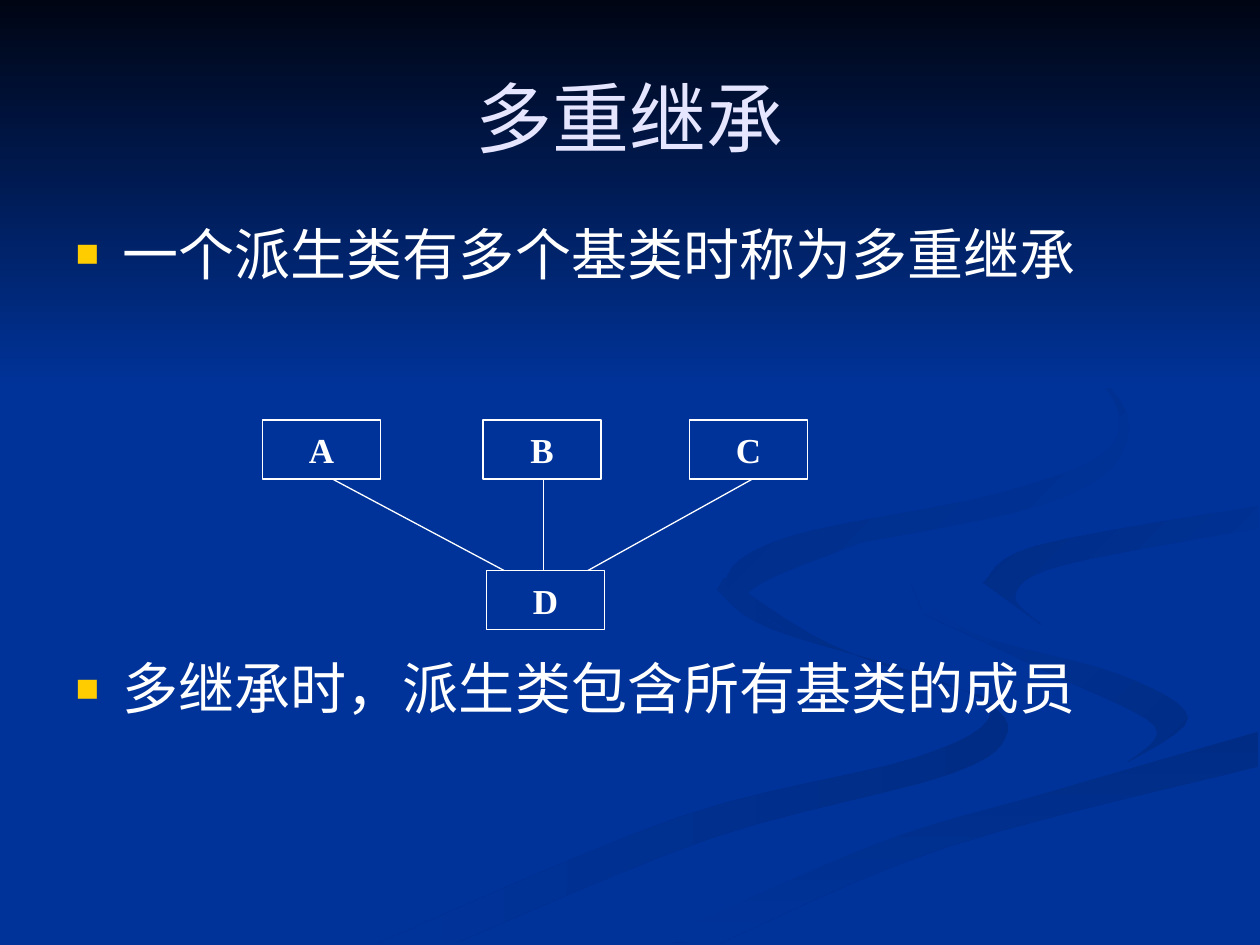
from dataclasses import dataclass
from lxml.etree import SubElement
from pptx import Presentation
from pptx.dml.color import RGBColor as Rgb
from pptx.enum.shapes import MSO_CONNECTOR as Link, MSO_SHAPE as Shape
from pptx.enum.text import MSO_ANCHOR as Anchor, MSO_AUTO_SIZE as Fit, PP_ALIGN as Align
from pptx.oxml.ns import qn
from pptx.util import Pt


@dataclass(frozen=True)
class Theme:
    font: str = "Times New Roman"
    back: str = "003399"
    night: str = "000514"
    shade: str = "002C85"
    title: str = "E5E5FF"
    text: str = "FFFFFF"
    mark: str = "FFCC00"
    head: int = 44
    body: int = 32
    label: int = 20


THEME = Theme()

# Edges shared by neighbouring ribbons.
CREST = [(521, 334), (557, 362), (639, 385), (679, 410), (644, 436)]
SHORE = [(374, 538), (501, 482), (598, 453), (719, 418)]
MOUTH = [(562, 333), (592, 312), (719, 289)]

# From back to front: first colour, last colour, clockwise angle, smooth edges.
RIBBONS = [
    (THEME.shade, THEME.back, 180, [
        [(562, 398), (476, 369), (414, 330)],
        [(410, 337), (440, 359), (534, 388), (566, 408), (523, 433), (388, 467), (216, 539)],
        [(260, 539), (406, 479), (544, 442), (576, 418), (562, 398)]]),
    (THEME.shade, THEME.back, 225, [
        CREST, [(644, 436), (660, 415), (603, 386), (528, 351)]]),
    (THEME.shade, THEME.back, 90, [
        SHORE, [(719, 438), (541, 484), (411, 539)]]),
    (THEME.back, None, 0, [
        CREST + [(477, 481), (343, 539)], SHORE,
        [(719, 387), (624, 366)] + MOUTH, [(719, 279), (582, 300), (521, 334)]]),
    (THEME.back, THEME.shade, 225, [
        MOUTH, [(719, 302), (607, 323), (580, 340), (595, 357)]]),
    (THEME.back, THEME.shade, 225, [
        [(492, 310), (594, 289), (640, 261), (634, 221), (549, 168)],
        [(549, 168), (626, 215), (635, 255), (570, 282), (450, 307), (415, 333), (448, 360)],
        [(448, 360), (428, 338), (492, 310)]]),
]

BOX_W, BOX_H = 67.5, 33.75
BASE_Y, CHILD_Y = 240, 326
BASES = [("A", 150), ("B", 276), ("C", 394)]
CHILD = ("D", 278)
LINKS = [(190, 288), (310.5, 310.5), (430, 336)]


def smooth(edge, steps=6):
    """Points of a Catmull-Rom curve through the dots of an edge."""
    dots = [edge[0], *edge, edge[-1]]
    curve = [edge[0]]
    for quad in zip(dots, dots[1:], dots[2:], dots[3:]):
        for step in range(1, steps + 1):
            t = step / steps
            curve.append(tuple(
                b + t * (c - a + t * (2*a - 5*b + 4*c - d + t * (3*b - a - 3*c + d))) / 2
                for a, b, c, d in zip(*quad)))
    return curve


def paint(shape, first, last=None, angle=0):
    """Fill with one colour, or with a gradient at a clockwise angle."""
    shape.shadow.inherit = False
    shape.line.fill.background()
    if last is None:
        shape.fill.solid()
        shape.fill.fore_color.rgb = Rgb.from_string(first)
        return
    shape.fill.gradient()
    shape.fill.gradient_angle = 360 - angle
    for stop, color in zip(shape.fill.gradient_stops, (first, last)):
        stop.color.rgb = Rgb.from_string(color)


def add_ribbon(slide, first, last, angle, edges):
    dots = [(Pt(x), Pt(y)) for edge in edges for x, y in smooth(edge)]
    pen = slide.shapes.build_freeform(*dots[0])
    pen.add_line_segments(dots[1:], close=True)
    paint(pen.convert_to_shape(), first, last, angle)


def add_band(slide):
    band = slide.shapes.add_shape(Shape.RECTANGLE, 0, 0, Pt(720), Pt(222))
    paint(band, THEME.night, THEME.back, 90)


def write(para, text, *, size, color=THEME.text, bold=False, align=Align.LEFT,
          before=0, line=1.0):
    para.alignment = align
    para.space_before = Pt(before)
    para.line_spacing = line
    run = para.add_run()
    run.text = text
    font = run.font
    font.name, font.size, font.bold = THEME.font, Pt(size), bold
    font.color.rgb = Rgb.from_string(color)


def add_bullet(para):
    props = para._p.get_or_add_pPr()
    props.set("marL", str(Pt(27)))
    props.set("indent", str(Pt(-27)))
    SubElement(SubElement(props, qn("a:buClr")), qn("a:srgbClr"), val=THEME.mark)
    SubElement(props, qn("a:buSzPct"), val="70000")
    SubElement(props, qn("a:buFont"), typeface=THEME.font)
    SubElement(props, qn("a:buChar"), char="■")


def place(slide, holder, left, top, width, height, anchor):
    """Move a placeholder to the front and return its text frame."""
    slide.shapes._spTree.append(holder._element)
    holder.left, holder.top = Pt(left), Pt(top)
    holder.width, holder.height = Pt(width), Pt(height)
    frame = holder.text_frame
    frame.auto_size, frame.vertical_anchor = Fit.NONE, anchor
    return frame


def add_title(slide, text):
    frame = place(slide, slide.shapes.title, 36, 21.6, 648, 90, Anchor.MIDDLE)
    write(frame.paragraphs[0], text, size=THEME.head, color=THEME.title,
          align=Align.CENTER)


def add_list(slide, items, gap):
    frame = place(slide, slide.placeholders[1], 36, 126, 648, 341, Anchor.TOP)
    for i, text in enumerate(items):
        para = frame.add_paragraph() if i else frame.paragraphs[0]
        add_bullet(para)
        write(para, text, size=THEME.body, before=gap if i else 0, line=0.9)


def outline(line):
    line.color.rgb = Rgb.from_string(THEME.text)
    line.width = Pt(0.75)


def add_box(slide, name, left, top):
    box = slide.shapes.add_shape(Shape.RECTANGLE, Pt(left), Pt(top), Pt(BOX_W), Pt(BOX_H))
    box.shadow.inherit = False
    box.fill.background()
    outline(box.line)
    box.text_frame.vertical_anchor = Anchor.MIDDLE
    write(box.text_frame.paragraphs[0], name, size=THEME.label, bold=True,
          align=Align.CENTER)


def add_link(slide, start, end):
    link = slide.shapes.add_connector(
        Link.STRAIGHT, Pt(start), Pt(BASE_Y + BOX_H), Pt(end), Pt(CHILD_Y))
    outline(link.line)
    SubElement(link._element.spPr, qn("a:effectLst"))


def main():
    deck = Presentation()
    deck.slide_width, deck.slide_height = Pt(720), Pt(540)
    slide = deck.slides.add_slide(deck.slide_layouts[1])
    slide.background.fill.solid()
    slide.background.fill.fore_color.rgb = Rgb.from_string(THEME.back)
    for ribbon in RIBBONS:
        add_ribbon(slide, *ribbon)
    add_band(slide)
    add_title(slide, "多重继承")
    add_list(slide, ["一个派生类有多个基类时称为多重继承",
                     "多继承时，派生类包含所有基类的成员"], gap=213.5)
    for name, left in BASES:
        add_box(slide, name, left, BASE_Y)
    add_box(slide, *CHILD, CHILD_Y)
    for start, end in LINKS:
        add_link(slide, start, end)
    deck.save("out.pptx")


if __name__ == "__main__":
    main()
